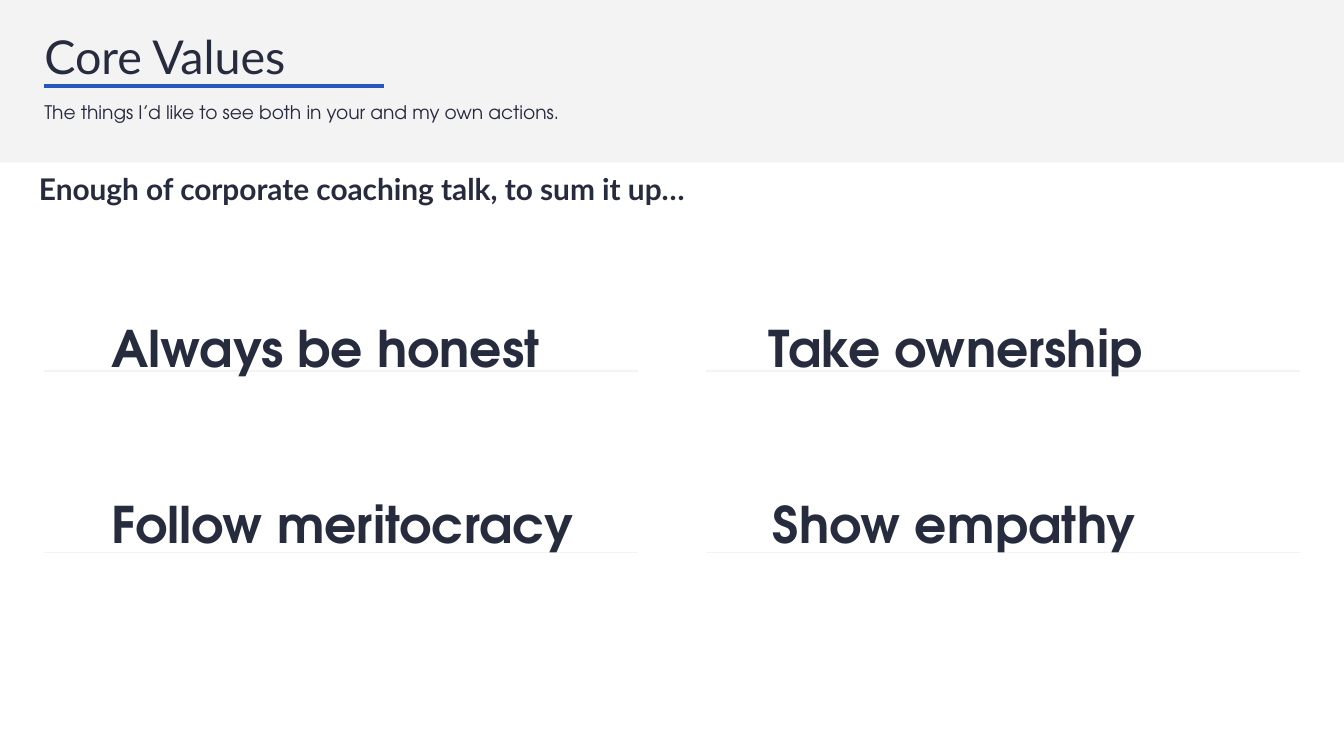
import pptx
import pptx.dml.color
import pptx.enum.shapes
import pptx.enum.text
import pptx.oxml.ns
import pptx.util
from lxml import etree
from pptx.util import Inches

INK, BLUE, GRAY = "272B3E", "2856C1", "F3F3F3"
HEADING_FONT, BODY_FONT = "Lato", "TeX Gyre Adventor"


def color(value):
    return pptx.dml.color.RGBColor.from_string(value)


def add_text(text, left, top, width, height, font, size, bold=False, indent=0, space_after=0):
    box = slide.shapes.add_textbox(Inches(left), Inches(top), Inches(width), Inches(height))
    frame = box.text_frame
    frame.word_wrap = True
    frame.vertical_anchor = pptx.enum.text.MSO_ANCHOR.TOP
    frame.margin_left = frame.margin_right = frame.margin_top = frame.margin_bottom = 0
    para = frame.paragraphs[0]
    para.space_after = pptx.util.Pt(space_after)
    if indent:
        para._p.get_or_add_pPr().set("marL", str(Inches(indent)))
    span = para.add_run()
    span.text = text
    span.font.name = font
    span.font.size = pptx.util.Pt(size)
    span.font.bold = bold
    span.font.color.rgb = color(INK)


deck = pptx.Presentation()
deck.slide_width = Inches(10)
deck.slide_height = Inches(10 * 9 / 16)
slide = deck.slides.add_slide(deck.slide_layouts[6])

# Header band
band = slide.shapes.add_shape(
    pptx.enum.shapes.MSO_SHAPE.RECTANGLE, 0, 0, deck.slide_width, Inches(1.21))
band.shadow.inherit = False
band.fill.solid()
band.fill.fore_color.rgb = color(GRAY)
band.line.fill.background()

# Rules below the four values and the title: left, right, y, color, weight
rules = [(left, left + 4.42, y, GRAY, 0.75) for y in (2.76, 4.11) for left in (0.33, 5.25)]
rules.append((0.33, 2.86, 0.64, BLUE, 2.25))
for left, right, y, line_color, weight in rules:
    rule = slide.shapes.add_connector(
        pptx.enum.shapes.MSO_CONNECTOR.STRAIGHT, Inches(left), Inches(y), Inches(right), Inches(y))
    rule.line.color.rgb = color(line_color)
    rule.line.width = pptx.util.Pt(weight)
    etree.SubElement(rule._element.spPr, pptx.oxml.ns.qn("a:effectLst"))

# Headings
add_text("Core Values", 0.33, 0.21, 9.35, 0.4, font=HEADING_FONT, size=25)
add_text("The things I’d like to see both in your and my own actions.",
         0.33, 0.75, 9.35, 0.23, font=BODY_FONT, size=10)
add_text("Enough of corporate coaching talk, to sum it up…",
         0.29, 1.27, 7.32, 0.23, font=HEADING_FONT, size=16, bold=True)

# Core values
for value, left, top in [
    ("Always be honest", 0.33, 2.36),
    ("Take ownership", 5.22, 2.36),
    ("Follow meritocracy", 0.33, 3.67),
    ("Show empathy", 5.25, 3.67),
]:
    add_text(value, left, top, 4.42, 0.52, font=BODY_FONT, size=27, bold=True,
             indent=0.5, space_after=20)

deck.save("out.pptx")
